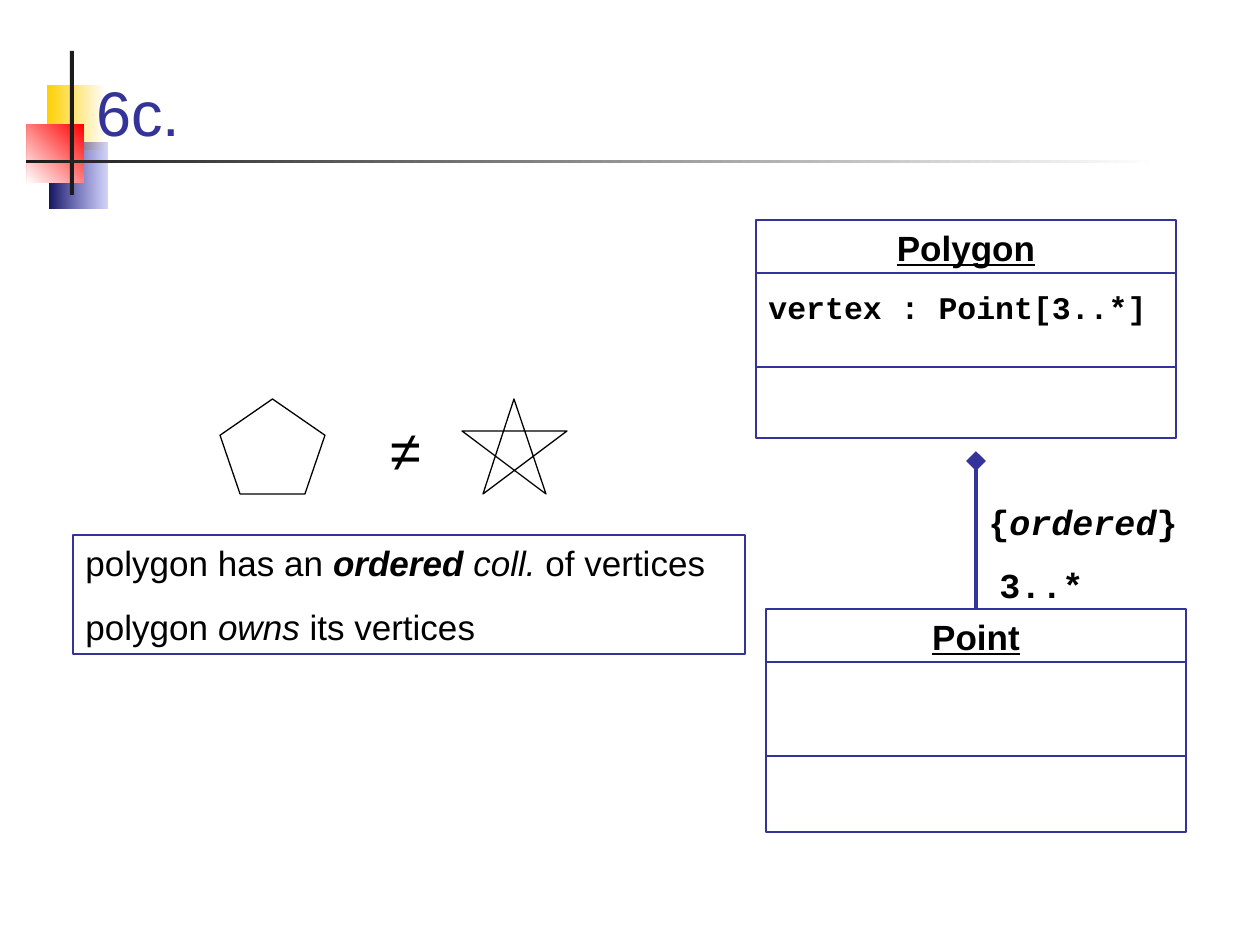
from lxml import etree
from pptx import Presentation
from pptx import util as u
from pptx.dml.color import RGBColor
from pptx.enum import shapes, text
from pptx.oxml.ns import qn

NAVY = RGBColor(0x33, 0x33, 0x99)
BLACK = RGBColor(0, 0, 0)
WHITE = RGBColor(255, 255, 255)
YELLOW = RGBColor(0xFF, 0xCF, 0x01)
RED = RGBColor(0xFF, 0, 0)
DARK_BLUE = RGBColor(0x17, 0x17, 0x5E)
BLUE = RGBColor(0x33, 0x33, 0xCC)
CHARCOAL = RGBColor(0x1C, 0x1C, 0x1C)

SANS, MONO = "Arial", "Courier New"
LEFT, CENTER = text.PP_ALIGN.LEFT, text.PP_ALIGN.CENTER
RECT = shapes.MSO_SHAPE.RECTANGLE
NAME = dict(name=SANS, size=20, bold=True, underline=True)
CODE = dict(name=MONO, size=20, bold=True)
BODY = dict(name=SANS, size=20)

DECOR = [
    ((47, 85, 59, 65), YELLOW, WHITE, 0, 100),
    ((49, 143, 58, 66), DARK_BLUE, BLUE, 0, 20),
    ((27, 124, 57, 59), RED, WHITE, 225, 100),
    ((70, 51, 4, 144), CHARCOAL, CHARCOAL, 0, 100),
    ((26, 160, 1133, 3), CHARCOAL, WHITE, 0, 100),
]
CLASSES = {
    "Polygon": ((756, 220, 420, 218), [
        (CENTER, 0, [("Polygon", NAME)]),
        (LEFT, 11.2, [("vertex : Point[3..*]", dict(CODE, size=18))])]),
    "Point": ((766, 609, 420, 223), [(CENTER, 0, [("Point", NAME)])]),
}
DIVIDERS = (53, 147)
NOTE = ((73, 535, 672, 119), [
    (LEFT, 0, [("polygon has an ", BODY),
               ("ordered", dict(BODY, bold=True, italic=True)),
               (" coll.", dict(BODY, italic=True)),
               (" of vertices", BODY)]),
    (LEFT, 12.5, [("polygon ", BODY),
                  ("owns", dict(BODY, italic=True)),
                  (" its vertices", BODY)]),
])
LABELS = [
    ((84, 35, 1091, 120), LEFT, True,
     [("6c.", dict(name=SANS, size=36, color=NAVY))]),
    ((987, 557, 114, 55), LEFT, False, [("3..*", CODE)]),
    ((976, 494, 224, 55), LEFT, False,
     [("{", CODE), ("ordered", dict(CODE, italic=True)), ("}", CODE)]),
    ((371, 409, 69, 81), CENTER, False, [("≠", dict(name=SANS, size=32))]),
]
PENTAGON = (220, 399, 105, 95)
STAR = [(514, 399), (546, 494), (462, 431), (567, 431), (483, 494)]
LINK_END = 461


def px(*values):
    return [u.Inches(v / 126) for v in values]


def write(sp, paragraphs, wrap=True, anchor=text.MSO_ANCHOR.TOP):
    tf = sp.text_frame
    tf.word_wrap, tf.vertical_anchor = wrap, anchor
    for i, (align, before, runs) in enumerate(paragraphs):
        p = tf.paragraphs[0] if i == 0 else tf.add_paragraph()
        p.alignment = align
        p.space_before = u.Pt(before)
        for words, fmt in runs:
            r = p.add_run()
            r.text = words
            r.font.color.rgb = fmt.get("color", BLACK)
            for key, value in fmt.items():
                if key != "color":
                    setattr(r.font, key, u.Pt(value) if key == "size" else value)


def outline(sp, color):
    sp.shadow.inherit = False
    sp.fill.background()
    sp.line.color.rgb = color
    sp.line.width = u.Pt(0.75)
    return sp


def add_box(s, box, paragraphs):
    sp = outline(s.shapes.add_shape(RECT, *px(*box)), NAVY)
    write(sp, paragraphs)
    return sp


def add_line(s, x1, y1, x2, y2, width):
    line = s.shapes.add_connector(shapes.MSO_CONNECTOR.STRAIGHT, *px(x1, y1, x2, y2))
    line.line.color.rgb = NAVY
    line.line.width = u.Pt(width)
    etree.SubElement(line._element.spPr, qn("a:effectLst"))
    return line


def add_decor(s, box, start, end, angle, opacity):
    sp = s.shapes.add_shape(RECT, *px(*box))
    sp.shadow.inherit = False
    sp.line.fill.background()
    if start == end:
        sp.fill.solid()
        sp.fill.fore_color.rgb = start
        return
    sp.fill.gradient()
    sp.fill.gradient_angle = angle
    for stop, color in zip(sp.fill.gradient_stops, (start, end)):
        stop.color.rgb = color
    if opacity < 100:
        last = sp._element.spPr.findall(".//" + qn("a:srgbClr"))[-1]
        etree.SubElement(last, qn("a:alpha"), val=str(opacity * 1000))


def main():
    prs = Presentation()
    prs.slide_width, prs.slide_height = u.Inches(10), u.Inches(7.5)
    s = prs.slides.add_slide(prs.slide_layouts[6])

    for item in DECOR:
        add_decor(s, *item)

    boxes = {}
    for name, (box, paragraphs) in CLASSES.items():
        boxes[name] = add_box(s, box, paragraphs)
        x, y, w, _ = box
        for dy in DIVIDERS:
            add_line(s, x, y + dy, x + w, y + dy, 0.75)

    x, y, w, _ = CLASSES["Point"][0]
    link = add_line(s, x + w / 2, y, x + w / 2, LINK_END, 2.25)
    link.begin_connect(boxes["Point"], 0)
    etree.SubElement(link._element.spPr.find(qn("a:ln")), qn("a:tailEnd"),
                     type="diamond", w="lg", len="lg")

    add_box(s, *NOTE)
    outline(s.shapes.add_shape(shapes.MSO_SHAPE.REGULAR_PENTAGON, *px(*PENTAGON)), BLACK)
    points = [px(*point) for point in STAR]
    star = s.shapes.build_freeform(*points[0])
    star.add_line_segments(points[1:], close=True)
    outline(star.convert_to_shape(), BLACK)

    for box, align, wrap, runs in LABELS:
        anchor = text.MSO_ANCHOR.BOTTOM if wrap else text.MSO_ANCHOR.TOP
        write(s.shapes.add_textbox(*px(*box)), [(align, 0, runs)], wrap, anchor)

    prs.save("out.pptx")


if __name__ == "__main__":
    main()
